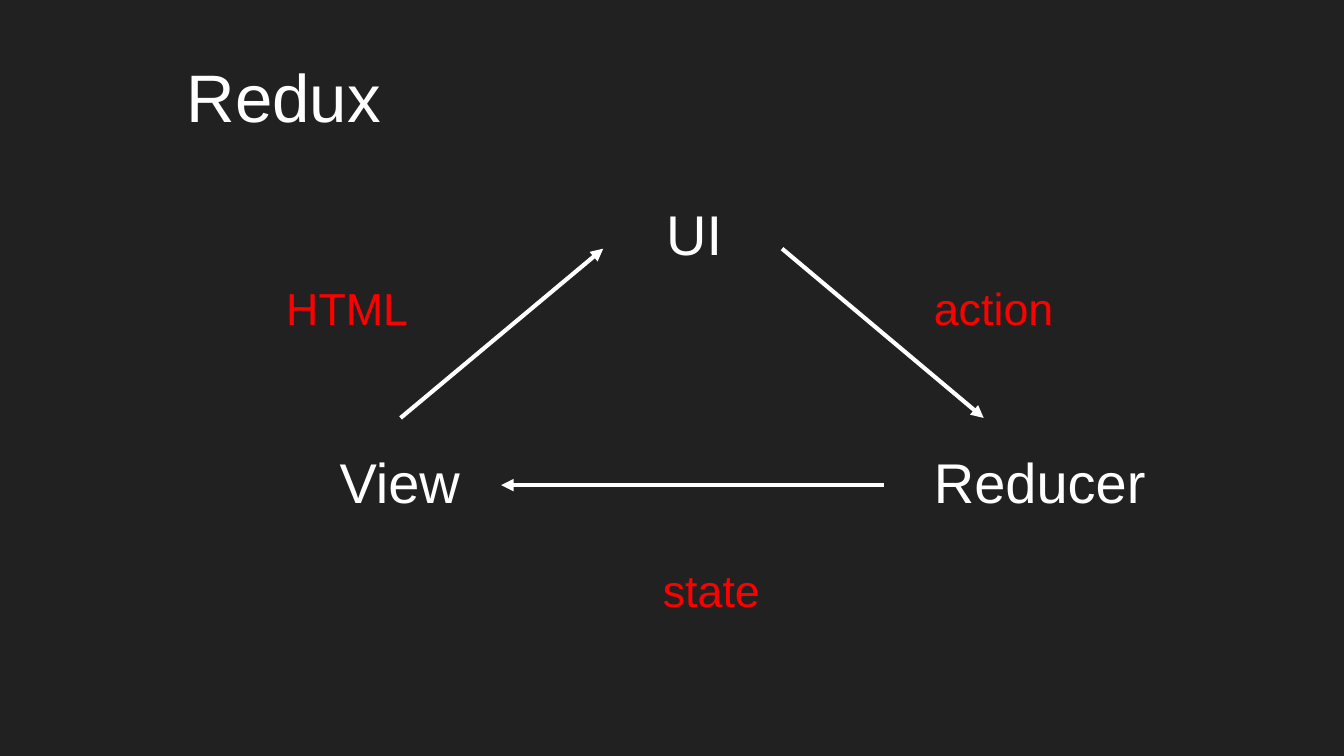
from typing import NamedTuple

from lxml import etree
from pptx import Presentation
from pptx.dml.color import RGBColor
from pptx.enum.shapes import MSO_CONNECTOR
from pptx.enum.text import MSO_ANCHOR, PP_ALIGN
from pptx.oxml.ns import qn
from pptx.slide import Slide
from pptx.util import Cm, Pt

LEFT, MID = PP_ALIGN.LEFT, PP_ALIGN.CENTER
TOP = MSO_ANCHOR.TOP
LINE = MSO_CONNECTOR.STRAIGHT

FONT = "Arial"
DARK, WHITE, RED = "212121", "FFFFFF", "FF0000"
INSET = 0.25

# Rows and columns shared by the diagram, in cm
RIGHT_X = 17.4
NODE_Y, NODE_H = 8.08, 2.21
TAG_Y, TAG_H = 4.95, 1.55
HIGH, LOW, BASE = 4.7, 7.9, 9.17


class Label(NamedTuple):
    text: str
    x: float
    y: float
    w: float
    h: float
    size: int
    color: str = WHITE
    align: PP_ALIGN = LEFT


class Arrow(NamedTuple):
    x1: float
    y1: float
    x2: float
    y2: float


LABELS = [
    Label("Redux", 3.28, 0.64, 19.84, 2.77, 36),
    Label("UI", 12.34, 3.4, 2.21, NODE_H, 30),
    Label("Reducer", RIGHT_X, NODE_Y, 4.85, NODE_H, 30),
    Label("View", 6.17, NODE_Y, 4.01, NODE_H, 30),
    Label("action", RIGHT_X, TAG_Y, 4.19, TAG_H, 24, RED),
    Label("state", 11.35, 10.29, 4.19, TAG_H, 24, RED, MID),
    Label("HTML", 5.16, TAG_Y, 3.45, TAG_H, 24, RED),
]

ARROWS = [
    Arrow(14.78, HIGH, 18.59, LOW),
    Arrow(16.71, BASE, 9.47, BASE),
    Arrow(7.57, LOW, 11.4, HIGH),
]


def rgb(color: str) -> RGBColor:
    return RGBColor.from_string(color)


def add_label(slide: Slide, label: Label) -> None:
    box = slide.shapes.add_textbox(
        Cm(label.x), Cm(label.y), Cm(label.w), Cm(label.h))
    frame = box.text_frame
    frame.word_wrap = True
    frame.vertical_anchor = TOP
    frame.margin_left = frame.margin_right = Cm(INSET)
    frame.margin_top = frame.margin_bottom = Cm(INSET)
    para = frame.paragraphs[0]
    para.text = label.text
    para.alignment = label.align
    para.line_spacing = 1.1
    para.font.name = FONT
    para.font.size = Pt(label.size)
    para.font.color.rgb = rgb(label.color)


def add_arrow(slide: Slide, arrow: Arrow) -> None:
    link = slide.shapes.add_connector(LINE, *(Cm(v) for v in arrow))
    link.line.color.rgb = rgb(WHITE)
    link.line.width = Pt(2.25)
    tip = etree.SubElement(link.line._get_or_add_ln(), qn("a:tailEnd"))
    tip.set("type", "triangle")
    etree.SubElement(link._element.spPr, qn("a:effectLst"))


def main() -> None:
    deck = Presentation()
    deck.slide_width, deck.slide_height = Cm(25.4), Cm(14.29)
    slide = deck.slides.add_slide(deck.slide_layouts[6])
    back = slide.background.fill
    back.solid()
    back.fore_color.rgb = rgb(DARK)
    for label in LABELS:
        add_label(slide, label)
    for arrow in ARROWS:
        add_arrow(slide, arrow)
    deck.save("out.pptx")


if __name__ == "__main__":
    main()
